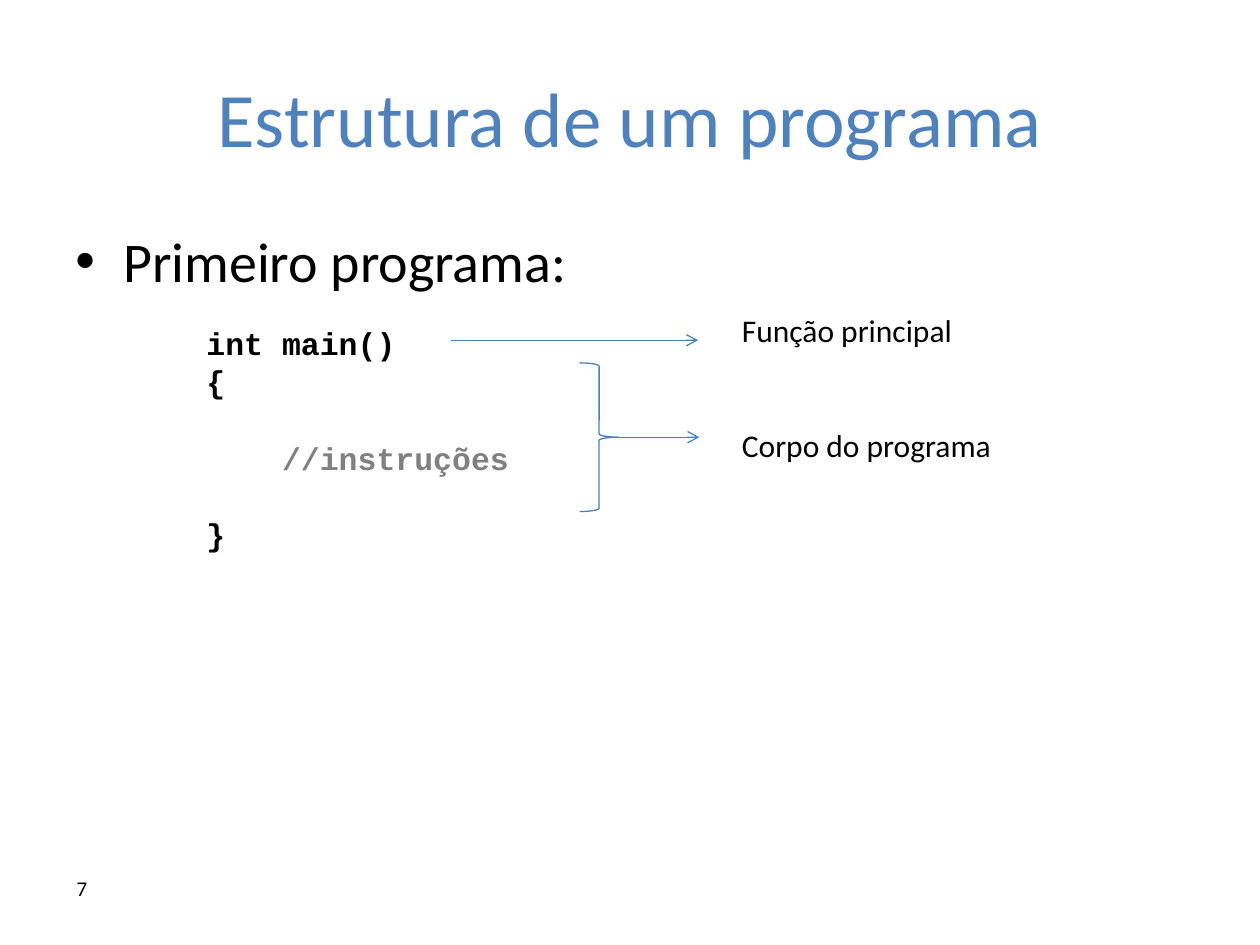
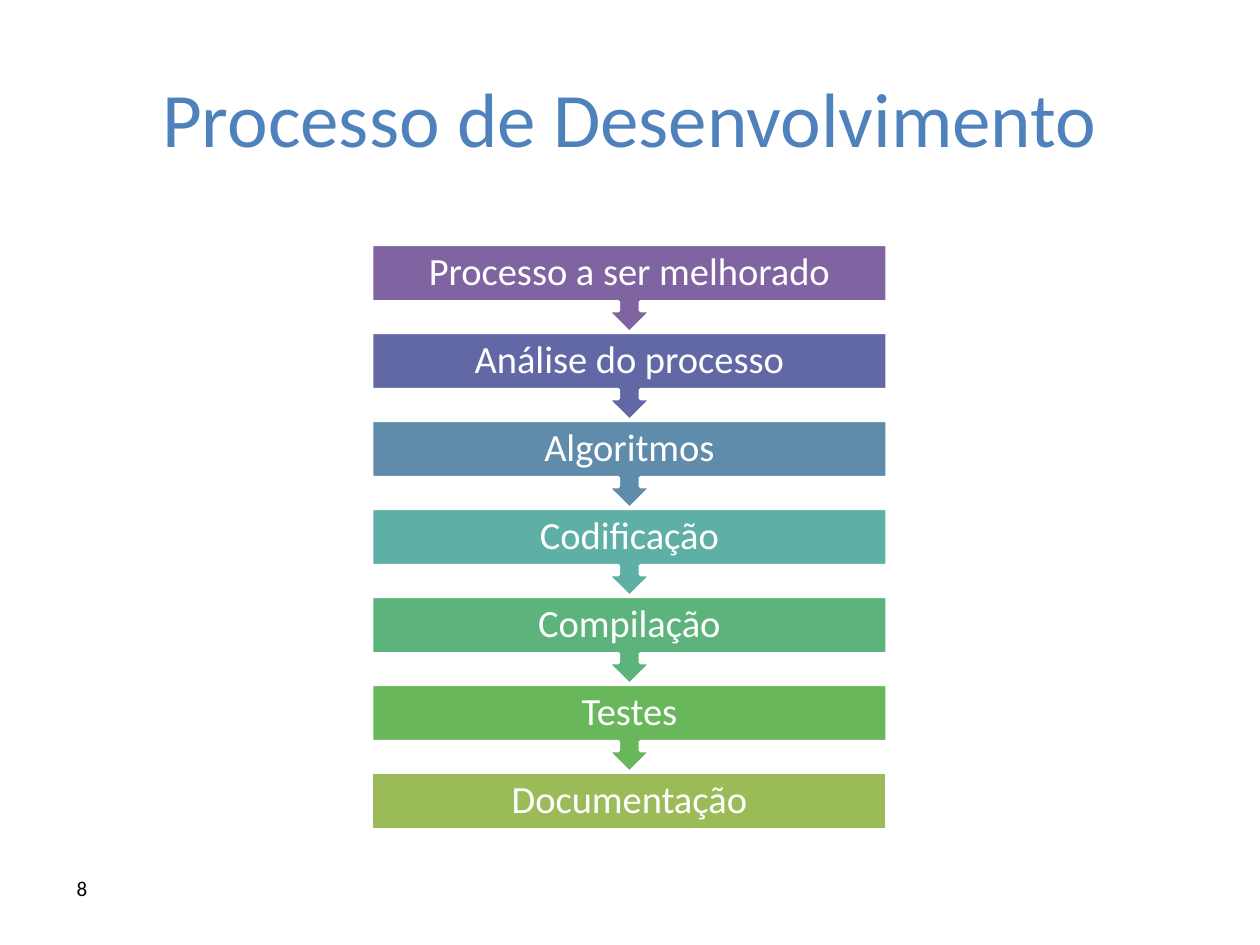
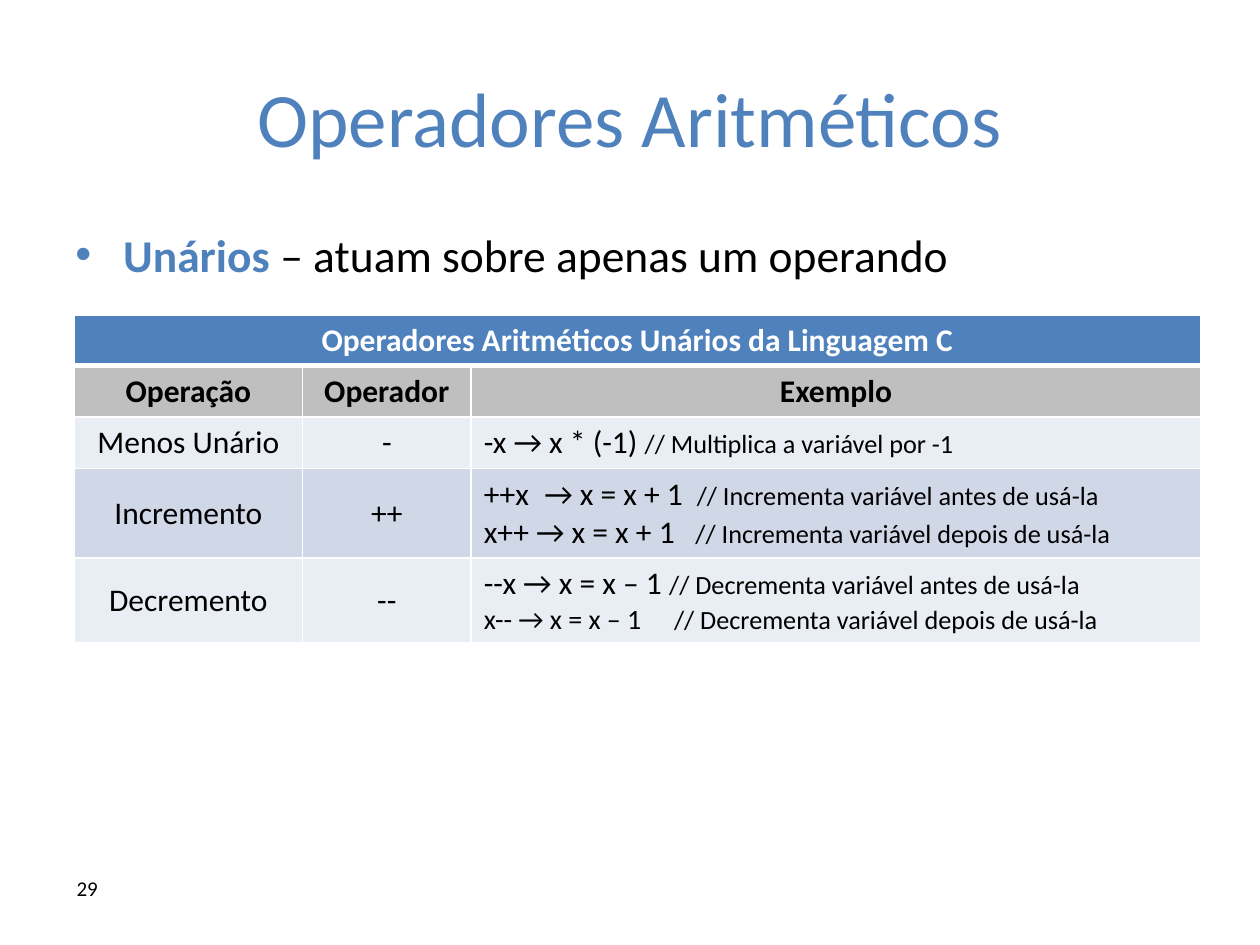
from lxml import etree
from pptx import Presentation
from pptx.dml.color import RGBColor
from pptx.enum.shapes import MSO_CONNECTOR, MSO_SHAPE
from pptx.enum.text import MSO_ANCHOR, PP_ALIGN
from pptx.oxml.ns import qn
from pptx.util import Inches, Pt

STRAIGHT = MSO_CONNECTOR.STRAIGHT
BRACE = MSO_SHAPE.RIGHT_BRACE
CALLOUT = MSO_SHAPE.UP_ARROW_CALLOUT
RECTANGLE = MSO_SHAPE.RECTANGLE
MIDDLE = MSO_ANCHOR.MIDDLE
CENTER = PP_ALIGN.CENTER

BLUE, LINE_BLUE = "4F81BD", "4B7EBC"
BLACK, WHITE, GRAY = "000000", "FFFFFF", "808080"
SILVER, PALE, PALE_BLUE = "BFBFBF", "E9EDF4", "D0D8E8"
color = RGBColor.from_string


def add_box(slide, left, top, width, height):
    """Add a wrapping text box and return its text frame."""
    box = slide.shapes.add_textbox(
        Inches(left), Inches(top), Inches(width), Inches(height))
    box.text_frame.word_wrap = True
    return box.text_frame


def write(para, text, size, ink=BLACK, bold=False, font="Calibri"):
    """Append one formatted span to a paragraph."""
    span = para.add_run()
    span.text = text
    span.font.name = font
    span.font.size = Pt(size)
    span.font.bold = bold
    span.font.color.rgb = color(ink)


deck = Presentation()
deck.slide_width, deck.slide_height = Inches(10), Inches(7.5)

# Number, title and bullet of every slide
pages = [
    ("7", "Estrutura de um programa", [("Primeiro programa:", 32)]),
    ("8", "Processo de Desenvolvimento", []),
    ("29", "Operadores Aritméticos",
     [("Unários", 26, BLUE, True), (" – atuam sobre apenas um operando", 26)]),
]
slides = []
for number, title, bullet in pages:
    slide = deck.slides.add_slide(deck.slide_layouts[6])
    slides.append(slide)
    write(add_box(slide, 0.51, 6.9, 2.33, 0.4).paragraphs[0], number, 12)
    title_frame = add_box(slide, 0.5, 0.3, 9, 1.25)
    title_frame.vertical_anchor = MIDDLE
    title_frame.paragraphs[0].alignment = CENTER
    write(title_frame.paragraphs[0], title, 44, BLUE)
    if bullet:
        para = add_box(slide, 0.5, 1.75, 9, 4.95).paragraphs[0]
        for span in bullet:
            write(para, *span)
        props = para._p.get_or_add_pPr()
        props.set("marL", str(Inches(0.38)))
        props.set("indent", str(Inches(-0.38)))
        before = etree.SubElement(props, qn("a:spcBef"))
        etree.SubElement(before, qn("a:spcPct"), val="20000")
        etree.SubElement(props, qn("a:buFont"), typeface="Arial")
        etree.SubElement(props, qn("a:buChar"), char="•")
program_slide, process_slide, operators_slide = slides

# Program structure: labels, arrows, brace and code
labels = add_box(program_slide, 5.79, 2.42, 3.44, 1.9)
write(labels.paragraphs[0], "Função principal", 18)
body_label = labels.add_paragraph()
body_label.space_before = Pt(44)
write(body_label, "Corpo do programa", 18)

for start, end, height in [(3.58, 5.54, 2.7), (4.83, 5.55, 3.47)]:
    arrow = program_slide.shapes.add_connector(
        STRAIGHT, Inches(start), Inches(height), Inches(end), Inches(height))
    arrow.line.color.rgb = color(LINE_BLUE)
    arrow.line.width = Pt(0.75)
    props = arrow._element.spPr
    etree.SubElement(props.find(qn("a:ln")), qn("a:tailEnd"), type="arrow")
    etree.SubElement(props, qn("a:effectLst"))

brace = program_slide.shapes.add_shape(
    BRACE, Inches(4.6), Inches(2.88), Inches(0.31), Inches(1.18))
brace.shadow.inherit = False
brace.fill.background()
brace.line.color.rgb = color(LINE_BLUE)
brace.line.width = Pt(0.75)

code = add_box(program_slide, 1.54, 2.52, 2.8, 2.22)
code_lines = [("int main()", BLACK, 0, 0), ("{", BLACK, 0, 0),
              ("//instruções", GRAY, 0.6, 21.8), ("}", BLACK, 0, 21.8)]
for index, (text, ink, indent, gap) in enumerate(code_lines):
    para = code.add_paragraph() if index else code.paragraphs[0]
    para.line_spacing = Pt(21.8)
    para.space_before = Pt(gap)
    para._p.get_or_add_pPr().set("marL", str(Inches(indent)))
    write(para, text, 18, ink, True, "Courier New")

# Development process: steps drawn from the last to the first
steps = [("Processo a ser melhorado", "8064A2"), ("Análise do processo", "6267A6"),
         ("Algoritmos", "608CAB"), ("Codificação", "5EAFA6"),
         ("Compilação", "5CB37C"), ("Testes", "69B75B"),
         ("Documentação", "9BBB59")]
last = len(steps) - 1
first_top, last_top = 1.94, 6.13
pitch = (last_top - first_top) / last
for index, (text, paint) in reversed(list(enumerate(steps))):
    top = first_top + index * pitch
    kind, height = (RECTANGLE, 0.46) if index == last else (CALLOUT, 0.7)
    step = process_slide.shapes.add_shape(
        kind, Inches(2.95), Inches(top), Inches(4.09), Inches(height))
    step.rotation = 0 if index == last else 180
    step.shadow.inherit = False
    step.fill.solid()
    step.fill.fore_color.rgb = color(paint)
    step.line.color.rgb = color(WHITE)
    step.line.width = Pt(2)
    frame = add_box(process_slide, 2.95, top, 4.09, 0.46)
    frame.vertical_anchor = MIDDLE
    frame.margin_left = frame.margin_right = Inches(0.17)
    frame.margin_top = frame.margin_bottom = Inches(0.17)
    frame.paragraphs[0].alignment = CENTER
    frame.paragraphs[0].line_spacing = 0.9
    write(frame.paragraphs[0], text, 22, WHITE)

# Unary operators: each example is (tab stops, code, code size, comment)
widths = [1.81, 1.34, 5.79]
heights = [0.4, 0.41, 0.41, 0.71, 0.67]
fills = [BLUE, SILVER, PALE, PALE_BLUE, PALE]
headings = [["Operadores Aritméticos Unários da Linguagem C"],
            ["Operação", "Operador", "Exemplo"]]
operators = [
    ["Menos Unário", "-",
     [([], "-x → x * (-1) ", 18, "// Multiplica a variável por -1")]],
    ["Incremento", "++",
     [([0.48, 1.69], "++x\t→ x = x + 1\t", 18,
       "// Incrementa variável antes de usá-la"),
      ([1.68], "x++ → x = x + 1\t", 18,
       "// Incrementa variável depois de usá-la")]],
    ["Decremento", "--",
     [([], "--x → x = x – 1 ", 18, "// Decrementa variável antes de usá-la"),
      ([1.51], "x-- → x = x – 1\t", 16,
       "// Decrementa variável depois de usá-la")]],
]
table = operators_slide.shapes.add_table(
    len(heights), len(widths), Inches(0.59), Inches(2.5),
    Inches(sum(widths)), Inches(sum(heights))).table
for column, width in zip(table.columns, widths):
    column.width = Inches(width)
for row_index, (row, height) in enumerate(zip(table.rows, heights)):
    row.height = Inches(height)
    for cell in row.cells:
        props = cell._tc.get_or_add_tcPr()
        for side in ("L", "R", "T", "B"):
            thick = (row_index, side) in [(0, "B"), (1, "T")]
            border = etree.SubElement(
                props, qn("a:ln" + side), w=str(Pt(3 if thick else 1)))
            paint = etree.SubElement(border, qn("a:solidFill"))
            etree.SubElement(paint, qn("a:srgbClr"), val=WHITE)
        cell.fill.solid()
        cell.fill.fore_color.rgb = color(fills[row_index])
table.cell(0, 0).merge(table.cell(0, 2))

for row_index, values in enumerate(headings + operators):
    for column_index, value in enumerate(values):
        cell = table.cell(row_index, column_index)
        para = cell.text_frame.paragraphs[0]
        if isinstance(value, str):
            cell.vertical_anchor = MIDDLE
            para.alignment = CENTER
            write(para, value, 18, BLACK if row_index else WHITE, row_index < 2)
            continue
        for index, (stops, example, size, comment) in enumerate(value):
            if index:
                para = cell.text_frame.add_paragraph()
            if stops:
                tabs = etree.SubElement(para._p.get_or_add_pPr(), qn("a:tabLst"))
                for stop in stops:
                    etree.SubElement(
                        tabs, qn("a:tab"), pos=str(Inches(stop)), algn="l")
            write(para, example, size)
            write(para, comment, 15)

deck.save("out.pptx")
